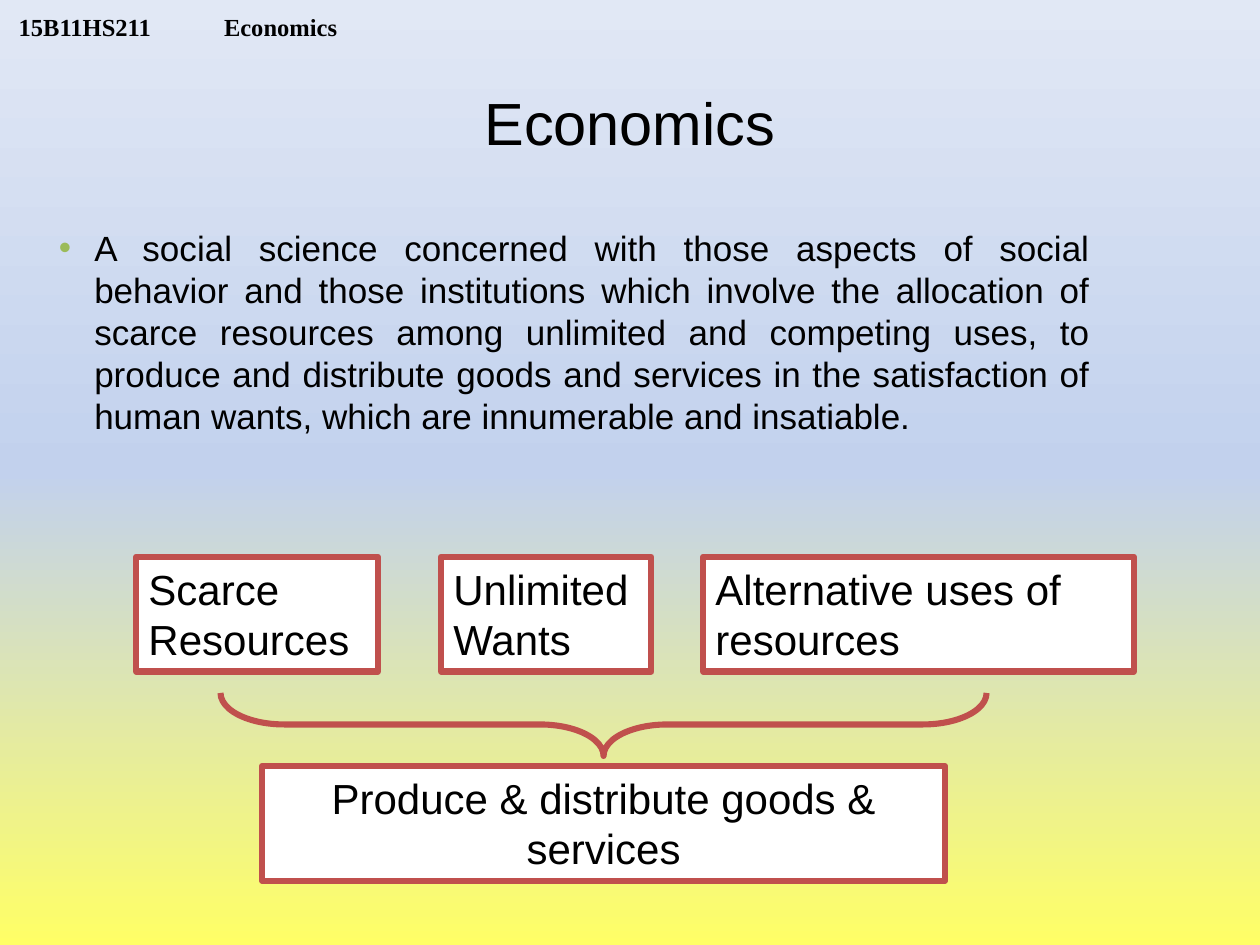
from lxml import etree
from pptx import Presentation
from pptx.dml.color import RGBColor
from pptx.enum.shapes import MSO_SHAPE as SHAPE
from pptx.enum.text import MSO_ANCHOR as ANCHOR, PP_ALIGN as ALIGN
from pptx.oxml.ns import qn
from pptx.util import Inches, Pt

COLORS = {
    "text": "000000", "box": "FFFFFF", "outline": "C0504D", "bullet": "9BBB59",
    "bottom": "FFFF66", "middle": "C2D1ED", "top": "E1E8F5",
}


def write(shape, text, size, align=ALIGN.LEFT, anchor=ANCHOR.TOP, font="Arial", bold=False):
    frame = shape.text_frame
    frame.word_wrap = True
    frame.vertical_anchor = anchor
    paragraph = frame.paragraphs[0]
    paragraph.alignment = align
    run = paragraph.add_run()
    run.text = text
    for key, value in {"name": font, "size": Pt(size), "bold": bold}.items():
        setattr(run.font, key, value)
    run.font.color.rgb = RGBColor.from_string(COLORS["text"])
    return paragraph


def add_outlined(kind, left, top, width, height):
    shape = slide.shapes.add_shape(kind, *map(Inches, (left, top, width, height)))
    shape.shadow.inherit = False
    shape.line.color.rgb = RGBColor.from_string(COLORS["outline"])
    shape.line.width = Pt(3.5)
    return shape


prs = Presentation()
prs.slide_width, prs.slide_height = Inches(10), Inches(7.5)
slide = prs.slides.add_slide(prs.slide_layouts[6])

# Background gradient, running from bottom to top
backdrop = slide.background.fill
backdrop.gradient()
backdrop.gradient_angle = 90
stops = slide.element.find(".//" + qn("a:gsLst"))
for stop in list(stops):
    stops.remove(stop)
for position, name in ((0, "bottom"), (50, "middle"), (100, "top")):
    stop = etree.SubElement(stops, qn("a:gs"), pos=str(position * 1000))
    etree.SubElement(stop, qn("a:srgbClr"), val=COLORS[name])

# Course header, with a tab between code and name
header = slide.shapes.add_textbox(Inches(0.05), Inches(0), Inches(3.2), Inches(0.33))
header.text_frame.margin_top = header.text_frame.margin_bottom = 0
course = write(header, "15B11HS211\tEconomics", 14, anchor=ANCHOR.BOTTOM,
               font="Times New Roman", bold=True)
tabs = etree.SubElement(course._p.get_or_add_pPr(), qn("a:tabLst"))
etree.SubElement(tabs, qn("a:tab"), pos=str(Inches(1.63)), algn="l")

# Title
title = slide.shapes.add_textbox(Inches(0.87), Inches(0.41), Inches(8.26), Inches(1.11))
write(title, "Economics", 34, ALIGN.CENTER, ANCHOR.MIDDLE)

# Definition
definition = slide.shapes.add_textbox(Inches(0.25), Inches(1.75), Inches(8.5), Inches(4.5))
sentence = write(
    definition,
    "A social science concerned with those aspects of social behavior and those "
    "institutions which involve the allocation of scarce resources among unlimited and "
    "competing uses, to produce and distribute goods and services in the satisfaction of "
    "human wants, which are innumerable and insatiable.",
    20, ALIGN.JUSTIFY)
sentence.space_before = Pt(4)
bullet = sentence._p.get_or_add_pPr()
bullet.set("marL", str(Inches(0.4)))
bullet.set("indent", str(Inches(-0.28)))
bullet_color = etree.SubElement(bullet, qn("a:buClr"))
etree.SubElement(bullet_color, qn("a:srgbClr"), val=COLORS["bullet"])
etree.SubElement(bullet, qn("a:buFont"), typeface="Arial")
etree.SubElement(bullet, qn("a:buChar"), char="•")

# Three conditions and their outcome
for label, left, top, width, align in (
    ("Scarce Resources", 1.08, 4.42, 1.92, ALIGN.LEFT),
    ("Unlimited Wants", 3.5, 4.42, 1.67, ALIGN.LEFT),
    ("Alternative uses of resources", 5.58, 4.42, 3.42, ALIGN.LEFT),
    ("Produce & distribute goods & services", 2.08, 6.08, 5.42, ALIGN.CENTER),
):
    box = add_outlined(SHAPE.RECTANGLE, left, top, width, 0.91)
    box.fill.solid()
    box.fill.fore_color.rgb = RGBColor.from_string(COLORS["box"])
    write(box, label, 24, align)

# Brace gathering the conditions into the outcome
brace = add_outlined(SHAPE.RIGHT_BRACE, 4.54, 2.71, 0.5, 6.08)
brace.rotation = 90
brace.adjustments[0], brace.adjustments[1] = 1.01, 0.5
brace.fill.background()

prs.save("out.pptx")
